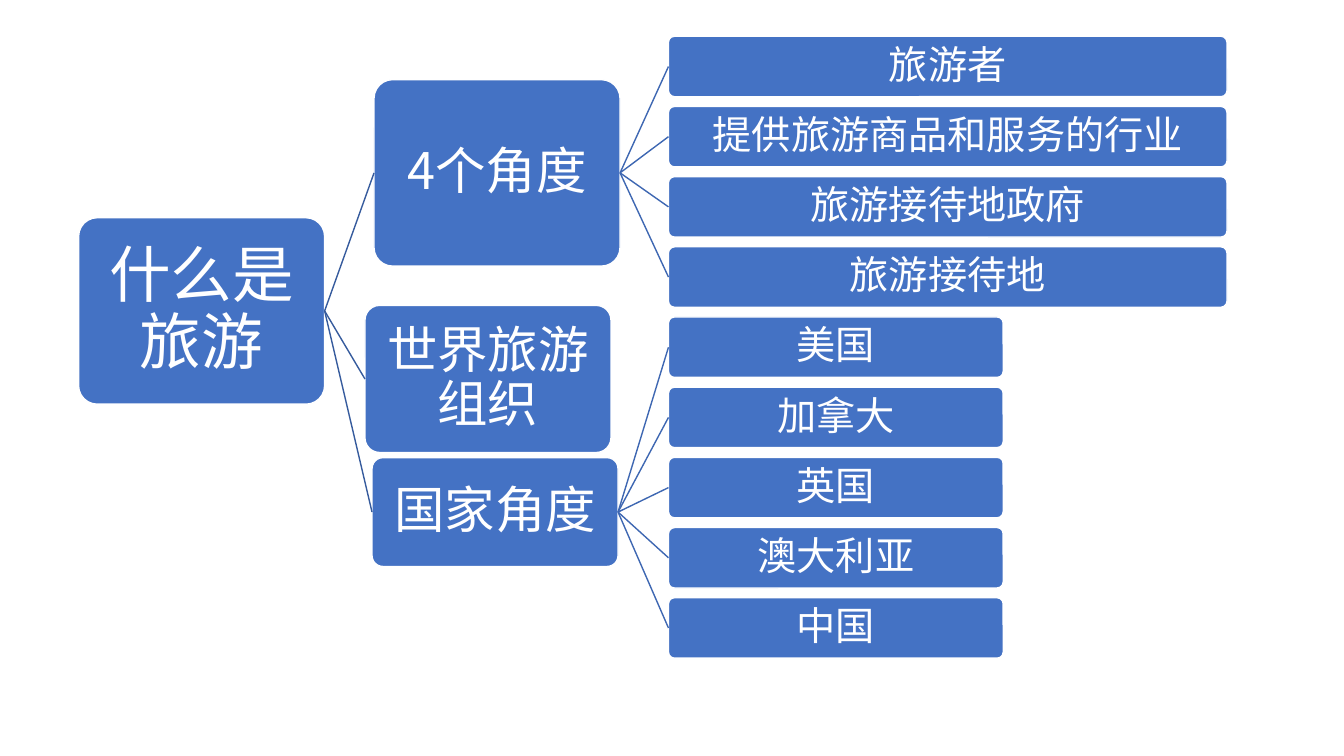
from lxml import etree
from pptx import Presentation
from pptx.dml.color import RGBColor
from pptx.enum import shapes, text
from pptx.oxml.ns import qn
from pptx.util import Inches, Pt

# Content: each branch has a label, left, top, height, leaf width and leaves
ROOT = ("什么是旅游", 0.78, 2.16, 1.85)
BRANCHES = [
    ("4个角度", 3.71, 0.79, 1.85, 5.54,
     ["旅游者", "提供旅游商品和服务的行业", "旅游接待地政府", "旅游接待地"]),
    ("世界旅游组织", 3.62, 3.03, 1.46, 0, []),
    ("国家角度", 3.69, 4.54, 1.08, 3.32,
     ["美国", "加拿大", "英国", "澳大利亚", "中国"]),
]

THEME = {
    "font": "Noto Sans CJK SC",
    "fill": "4472C4", "ink": "FFFFFF",
    "stem": "365B9D", "twig": "3E67B2",
    "root": 44, "branch": 36, "leaf": 28,
}

# Grid
NODE_W = 2.44
LEAF_X, LEAF_H = 6.63, 0.6
LEAF_TOP, LEAF_END = 0.36, 5.93
COUNT = sum(len(branch[-1]) for branch in BRANCHES)
STEP = (LEAF_END - LEAF_TOP) / (COUNT - 1)
LEFT, RIGHT = 1, 3  # connection sites of a rounded box


def color(name):
    return RGBColor.from_string(THEME[name])


def write(frame, words, size, inset):
    frame.word_wrap = True
    frame.vertical_anchor = text.MSO_ANCHOR.MIDDLE
    frame.margin_left = frame.margin_right = Inches(inset)
    frame.margin_top = frame.margin_bottom = Inches(inset)
    para = frame.paragraphs[0]
    para.alignment = text.PP_ALIGN.CENTER
    para.line_spacing = 0.9
    run = para.add_run()
    run.text = words
    run.font.size = Pt(size)
    run.font.name = THEME["font"]
    run.font.color.rgb = color("ink")
    # East Asian typeface
    east = etree.SubElement(run.font._element, qn("a:ea"))
    east.set("typeface", THEME["font"])


def add_box(slide, words, x, y, w, h, level, inset=0.08):
    box = slide.shapes.add_shape(
        shapes.MSO_SHAPE.ROUNDED_RECTANGLE,
        Inches(x), Inches(y), Inches(w), Inches(h))
    box.adjustments[0] = 0.1
    box.shadow.inherit = False
    box.fill.solid()
    box.fill.fore_color.rgb = color("fill")
    box.line.color.rgb = color("ink")
    box.line.width = Pt(1)
    write(box.text_frame, words, THEME[level], inset)
    return box


def join(slide, start, end, tone):
    line = slide.shapes.add_connector(shapes.MSO_CONNECTOR.STRAIGHT, 0, 0, 0, 0)
    line.begin_connect(start, RIGHT)
    line.end_connect(end, LEFT)
    line.line.color.rgb = color(tone)
    line.line.width = Pt(1)
    etree.SubElement(line._element.spPr, qn("a:effectLst"))


def main():
    deck = Presentation()
    deck.slide_width, deck.slide_height = Inches(13.33), Inches(7.5)
    slide = deck.slides.add_slide(deck.slide_layouts[6])

    # Root
    words, x, y, h = ROOT
    root = add_box(slide, words, x, y, NODE_W, h, "root")

    # Branches and their leaves
    row = 0
    for words, x, y, h, leaf_w, leaves in BRANCHES:
        node = add_box(slide, words, x, y, NODE_W, h, "branch")
        join(slide, root, node, "stem")
        for name in leaves:
            leaf = add_box(slide, name, LEAF_X, LEAF_TOP + row * STEP,
                           leaf_w, LEAF_H, "leaf", inset=0.04)
            join(slide, node, leaf, "twig")
            row += 1

    deck.save("out.pptx")


if __name__ == "__main__":
    main()
